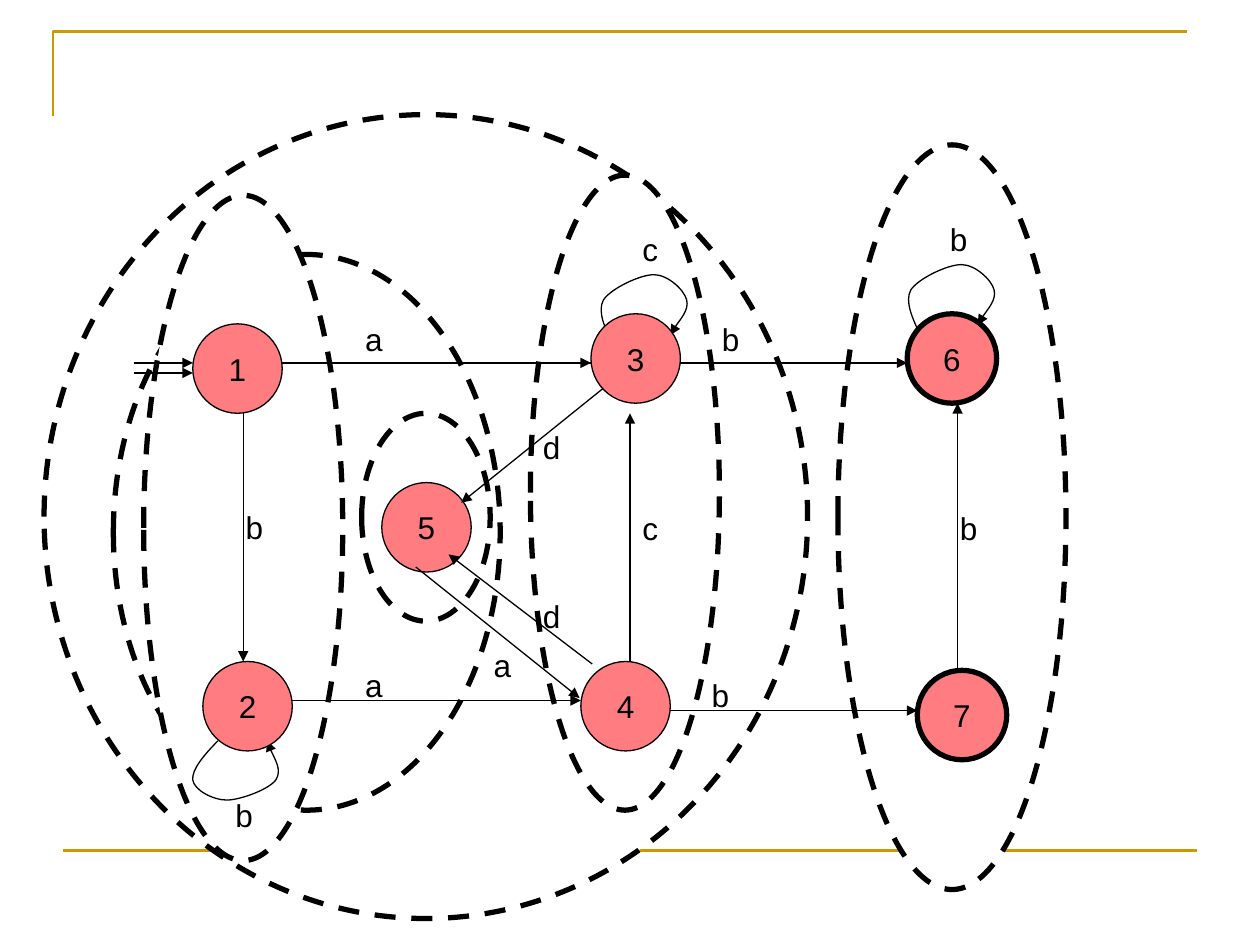
from pptx import Presentation
from pptx.dml.color import RGBColor
from pptx.enum import dml, shapes, text
from pptx.oxml import ns
from pptx.util import Inches, Pt
from lxml import etree

theme = {
    "ink": RGBColor(0, 0, 0),
    "paper": RGBColor(255, 255, 255),
    "gold": RGBColor(0xCC, 0x99, 0x00),
    "node": RGBColor(0xFF, 0x7C, 0x80),
    "font": "Arial",
    "size": Pt(18),
    "thin": Pt(0.75),
    "rule": Pt(1.5),
    "bold": Pt(3),
}
label_frame = {"word_wrap": True, "auto_size": text.MSO_AUTO_SIZE.SHAPE_TO_FIT_TEXT}
label_paragraph = {"space_before": Pt(11.2)}
node_frame = {"word_wrap": False, "vertical_anchor": text.MSO_ANCHOR.MIDDLE}
node_paragraph = {"alignment": text.PP_ALIGN.CENTER}

presentation = Presentation()
presentation.slide_width, presentation.slide_height = Inches(10), Inches(7.5)
slide = presentation.slides.add_slide(presentation.slide_layouts[6])
canvas = slide.shapes
cell = presentation.slide_width // 1000


def finish(shape, color="ink", weight="thin", fill=None, arrow=False):
    shape.line.color.rgb = theme[color]
    shape.line.width = theme[weight]
    if fill:
        shape.fill.solid()
        shape.fill.fore_color.rgb = theme[fill]
    if arrow:
        etree.SubElement(shape.line._get_or_add_ln(), ns.qn("a:tailEnd"), type="triangle")
    etree.SubElement(shape.element.spPr, ns.qn("a:effectLst"))


def write(shape, words, frame_format, paragraph_format):
    frame = shape.text_frame
    frame.text = words
    paragraph = frame.paragraphs[0]
    font_format = {"name": theme["font"], "size": theme["size"]}
    for target, values in (
        (frame, frame_format),
        (paragraph, paragraph_format),
        (paragraph.runs[0].font, font_format),
    ):
        for name, value in values.items():
            setattr(target, name, value)
    paragraph.runs[0].font.color.rgb = theme["ink"]


builder = canvas.build_freeform(42 * cell, 92 * cell)
builder.add_line_segments([(42 * cell, 25 * cell), (942 * cell, 25 * cell)], close=False)
bracket = builder.convert_to_shape()
bracket.fill.background()
finish(bracket, "gold", "rule")
footer = [value * cell for value in (50, 675, 950, 675)]
finish(canvas.add_connector(shapes.MSO_CONNECTOR.STRAIGHT, *footer), "gold", "rule")

rings = [
    (35, 91, 606, 638),
    (90, 202, 307, 441),
    (287, 328, 102, 165),
    (114, 155, 158, 528),
    (421, 139, 150, 504),
    (665, 115, 181, 591),
]
for ring in rings:
    shape = canvas.add_shape(shapes.MSO_SHAPE.OVAL, *[value * cell for value in ring])
    finish(shape, weight="bold", fill="paper")
    shape.line.dash_style = dml.MSO_LINE.DASH

upper_loop = [
    (12, 55), (6, 42), (0, 29), (5, 20), (11, 11), (34, 0), (45, 0),
    (56, 0), (69, 12), (71, 20), (73, 28), (60, 43), (58, 48),
]
lower_loop = [
    (21, 0), (10, 11), (0, 23), (1, 31), (2, 39), (17, 47), (28, 47),
    (38, 47), (61, 39), (67, 31), (72, 23), (61, 5), (60, 0),
]
for left, top, outline in ((718, 210, upper_loop), (474, 218, upper_loop), (152, 588, lower_loop)):
    points = [((left + x) * cell, (top + y) * cell) for x, y in outline]
    builder = canvas.build_freeform(*points[0])
    builder.add_line_segments(points[1:], close=False)
    shape = builder.convert_to_shape()
    segments = list(shape.element.iter(ns.qn("a:lnTo")))
    for start in range(0, len(segments), 3):
        curve = etree.SubElement(segments[start].getparent(), ns.qn("a:cubicBezTo"))
        for segment in segments[start:start + 3]:
            curve.append(segment[0])
            segment.getparent().remove(segment)
    shape.fill.background()
    finish(shape, arrow=True)

edges = [
    (224, 288, 469, 288),
    (437, 288, 720, 288),
    (516, 564, 728, 564),
    (470, 527, 356, 440),
    (484, 304, 366, 399),
    (500, 525, 500, 328),
    (232, 556, 461, 556),
    (193, 328, 193, 525),
    (106, 288, 153, 288),
    (106, 296, 153, 296),
    (330, 450, 460, 554),
    (760, 532, 760, 320),
]
back_nodes = [("1", 153, 257, "thin"), ("7", 728, 532, "bold"), ("5", 303, 383, "thin")]
front_nodes = [
    ("6", 720, 249, "bold"),
    ("3", 469, 249, "thin"),
    ("2", 161, 525, "thin"),
    ("4", 461, 525, "thin"),
]
diameter = 71 * cell
for nodes, links in ((back_nodes, edges), (front_nodes, [])):
    for name, left, top, weight in nodes:
        shape = canvas.add_shape(shapes.MSO_SHAPE.OVAL, left * cell, top * cell, diameter, diameter)
        finish(shape, weight=weight, fill="node")
        write(shape, name, node_frame, node_paragraph)
    for link in links:
        ends = [value * cell for value in link]
        finish(canvas.add_connector(shapes.MSO_CONNECTOR.STRAIGHT, *ends), arrow=True)

labels = {
    "a": [(280, 249), (280, 524), (382, 508)],
    "b": [(563, 249), (555, 532), (752, 399), (744, 170), (177, 627), (185, 398)],
    "c": [(500, 178), (500, 399)],
    "d": [(421, 335), (421, 469)],
}
for letter, places in labels.items():
    for left, top in places:
        box = canvas.add_textbox(left * cell, top * cell, 39 * cell, 40 * cell)
        write(box, letter, label_frame, label_paragraph)

presentation.save("out.pptx")
